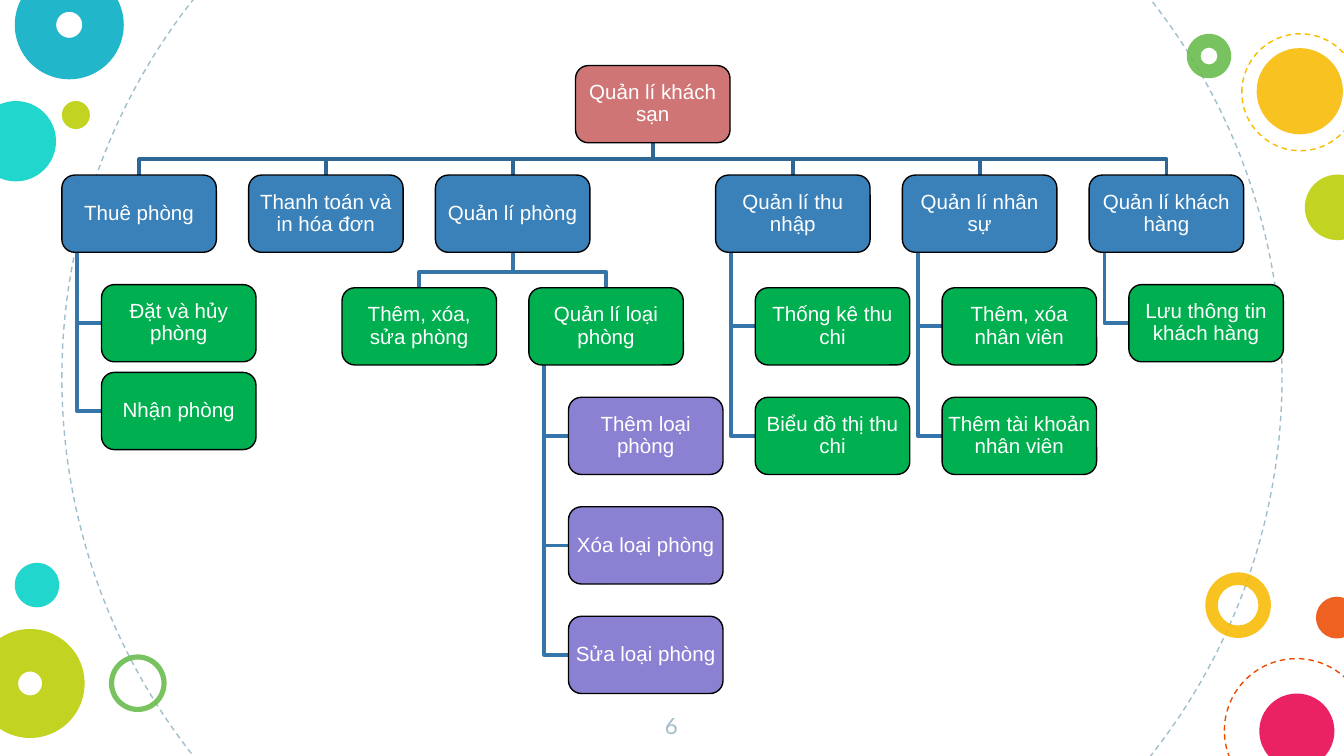
from dataclasses import dataclass, field
from typing import Iterator, List, Optional, Tuple

import lxml.etree
import pptx
import pptx.dml.color
import pptx.enum.dml
import pptx.enum.shapes
import pptx.enum.text
import pptx.oxml.ns
import pptx.util

Cm, Pt = pptx.util.Cm, pptx.util.Pt
SHAPE = pptx.enum.shapes.MSO_SHAPE
ALIGN = pptx.enum.text.PP_ALIGN
ANCHOR = pptx.enum.text.MSO_ANCHOR

# Chart grid, in centimetres
BOX_W, BOX_H = 2.92, 1.46
LEFT, COL_STEP = 1.17, 3.53
ROOT_Y, MAIN_Y, SUB_Y, ROW_STEP = 1.24, 3.31, 5.44, 2.07
HANG_INDENT, HANG_LINE, BUS_GAP = 0.75, 0.29, 0.3

RED, BLUE, GREEN, PURPLE = "D07576", "3A81BA", "00B050", "8B81D2"
ROOT_LINE, SUB_LINE = "2E6795", "3575A9"
BOX_FONT = {"name": "Arial", "size": Pt(11)}
NUMBER_FONT = {"name": "Lato", "size": Pt(12)}


@dataclass
class Circle:
    x: float
    y: float
    size: float
    color: str
    ring: Optional[float] = None  # ring thickness of a donut
    dashed: bool = False


@dataclass
class Node:
    text: str
    fill: str
    x: float
    y: float
    spread: List["Node"] = field(default_factory=list)  # side by side, below
    hung: List["Node"] = field(default_factory=list)  # stacked, to the right

    def walk(self) -> Iterator["Node"]:
        yield self
        for child in self.spread + self.hung:
            yield from child.walk()


CIRCLES = [
    Circle(1.17, -4.39, 23.06, "A1BECC", dashed=True),
    Circle(-0.46, 1.91, 1.52, "00D1C6"),
    Circle(22.78, 10.82, 1.24, "F8BB00", ring=0.19),
    Circle(0.28, -0.56, 2.06, "00ACC3", ring=0.38),
    Circle(1.17, 1.91, 0.53, "BBCD00"),
    Circle(23.14, 12.45, 2.72, "ED4A00", dashed=True),
    Circle(2.06, 12.37, 1.09, "65BB48", ring=0.09),
    Circle(24.87, 11.28, 0.79, "ED4A00"),
    Circle(-0.46, 11.89, 2.06, "BBCD00", ring=0.39),
    Circle(23.8, 13.11, 1.42, "E8004C"),
    Circle(22.43, 0.64, 0.84, "65BB48", ring=0.31),
    Circle(23.75, 0.91, 1.63, "F8BB00"),
    Circle(24.66, 3.3, 1.24, "BBCD00"),
    Circle(23.47, 0.64, 2.21, "F8BB00", dashed=True),
    Circle(0.28, 10.64, 0.84, "00D1C6"),
]


def rgb(color: str) -> pptx.dml.color.RGBColor:
    return pptx.dml.color.RGBColor.from_string(color)


def col(index: float) -> float:
    return LEFT + index * COL_STEP


def branch(text: str, fill: str, column: float, y: float, child_fill: str = GREEN,
           children: Tuple[str, ...] = (), child_y: float = SUB_Y,
           step: float = ROW_STEP) -> Node:
    """A box with its children hung below it at equal steps."""
    x = col(column)
    hung = [Node(t, child_fill, x + HANG_INDENT, child_y + i * step)
            for i, t in enumerate(children)]
    return Node(text, fill, x, y, hung=hung)


def org_tree() -> Node:
    rooms = branch("Quản lí phòng", BLUE, 2, MAIN_Y)
    rooms.spread = [
        branch("Thêm, xóa, sửa phòng", GREEN, 1.5, SUB_Y),
        branch("Quản lí loại phòng", GREEN, 2.5, SUB_Y, PURPLE,
               ("Thêm loại phòng", "Xóa loại phòng", "Sửa loại phòng"), SUB_Y + ROW_STEP),
    ]
    return Node("Quản lí khách sạn", RED, col(2.75), ROOT_Y, spread=[
        branch("Thuê phòng", BLUE, 0, MAIN_Y,
               children=("Đặt và hủy phòng", "Nhận phòng"), child_y=5.38, step=1.66),
        branch("Thanh toán và in hóa đơn", BLUE, 1, MAIN_Y),
        rooms,
        branch("Quản lí thu nhập", BLUE, 3.5, MAIN_Y,
               children=("Thống kê thu chi", "Biểu đồ thị thu chi")),
        branch("Quản lí nhân sự", BLUE, 4.5, MAIN_Y,
               children=("Thêm, xóa nhân viên", "Thêm tài khoản nhân viên")),
        branch("Quản lí khách hàng", BLUE, 5.5, MAIN_Y,
               children=("Lưu thông tin khách hàng",), child_y=5.38),
    ])


def write(sp, text: str, font: dict, color: str, inset: float, spacing: float) -> None:
    tf = sp.text_frame
    frame = {"word_wrap": True}
    for side in ("left", "right", "top", "bottom"):
        frame["margin_" + side] = Cm(inset)
    for key, value in frame.items():
        setattr(tf, key, value)
    p = tf.paragraphs[0]
    p.alignment, p.line_spacing = ALIGN.CENTER, spacing
    r = p.add_run()
    r.text = text
    for key, value in font.items():
        setattr(r.font, key, value)
    r.font.color.rgb = rgb(color)


def draw_circle(s, c: Circle) -> None:
    kind = SHAPE.OVAL if c.ring is None else SHAPE.DONUT
    sp = s.shapes.add_shape(kind, Cm(c.x), Cm(c.y), Cm(c.size), Cm(c.size))
    sp.shadow.inherit = False
    if c.ring is not None:
        sp.adjustments[0] = c.ring
    if c.dashed:
        sp.fill.background()
        sp.line.color.rgb = rgb(c.color)
        sp.line.width = Pt(0.75)
        sp.line.dash_style = pptx.enum.dml.MSO_LINE.DASH
        return
    sp.line.fill.background()
    sp.fill.solid()
    sp.fill.fore_color.rgb = rgb(c.color)
    # Slight transparency
    qn = pptx.oxml.ns.qn
    clr = sp.fill._xPr.find(qn("a:solidFill")).find(qn("a:srgbClr"))
    lxml.etree.SubElement(clr, qn("a:alpha")).set("val", "87000")


def draw_link(s, points: List[Tuple[float, float]], color: str) -> None:
    pts = [(Cm(x), Cm(y)) for x, y in points]
    builder = s.shapes.build_freeform(*pts[0], scale=1.0)
    builder.add_line_segments(pts[1:], close=False)
    sp = builder.convert_to_shape()
    sp.shadow.inherit = False
    sp.fill.background()
    sp.line.color.rgb = rgb(color)
    sp.line.width = Pt(2)


def draw_links(s, n: Node, color: str) -> None:
    bottom = n.y + BOX_H
    for child in n.spread:
        x0, x1, bus = n.x + BOX_W / 2, child.x + BOX_W / 2, child.y - BUS_GAP
        draw_link(s, [(x0, bottom), (x0, bus), (x1, bus), (x1, child.y)], color)
    for child in n.hung:
        x, y = n.x + HANG_LINE, child.y + BOX_H / 2
        draw_link(s, [(x, bottom), (x, y), (child.x, y)], color)


def draw_box(s, n: Node) -> None:
    sp = s.shapes.add_shape(SHAPE.ROUNDED_RECTANGLE, Cm(n.x), Cm(n.y), Cm(BOX_W), Cm(BOX_H))
    sp.shadow.inherit = False
    sp.fill.solid()
    sp.fill.fore_color.rgb = rgb(n.fill)
    sp.line.color.rgb = rgb("000000")
    sp.line.width = Pt(0)
    sp.text_frame.vertical_anchor = ANCHOR.MIDDLE
    write(sp, n.text, BOX_FONT, "FFFFFF", 0.03, 0.9)


def main() -> None:
    prs = pptx.Presentation()
    prs.slide_width, prs.slide_height = Cm(25.4), Cm(14.29)
    s = prs.slides.add_slide(prs.slide_layouts[6])

    # Decoration
    for circle in CIRCLES:
        draw_circle(s, circle)

    # Slide number
    sp = s.shapes.add_textbox(Cm(12.04), Cm(13.21), Cm(1.3), Cm(1.09))
    write(sp, "6", NUMBER_FONT, "A1BECC", 0.25, 1.0)

    # Organisation chart: lines behind the boxes
    root = org_tree()
    for n in root.walk():
        draw_links(s, n, ROOT_LINE if n is root else SUB_LINE)
    for n in root.walk():
        draw_box(s, n)

    prs.save("out.pptx")


if __name__ == "__main__":
    main()
